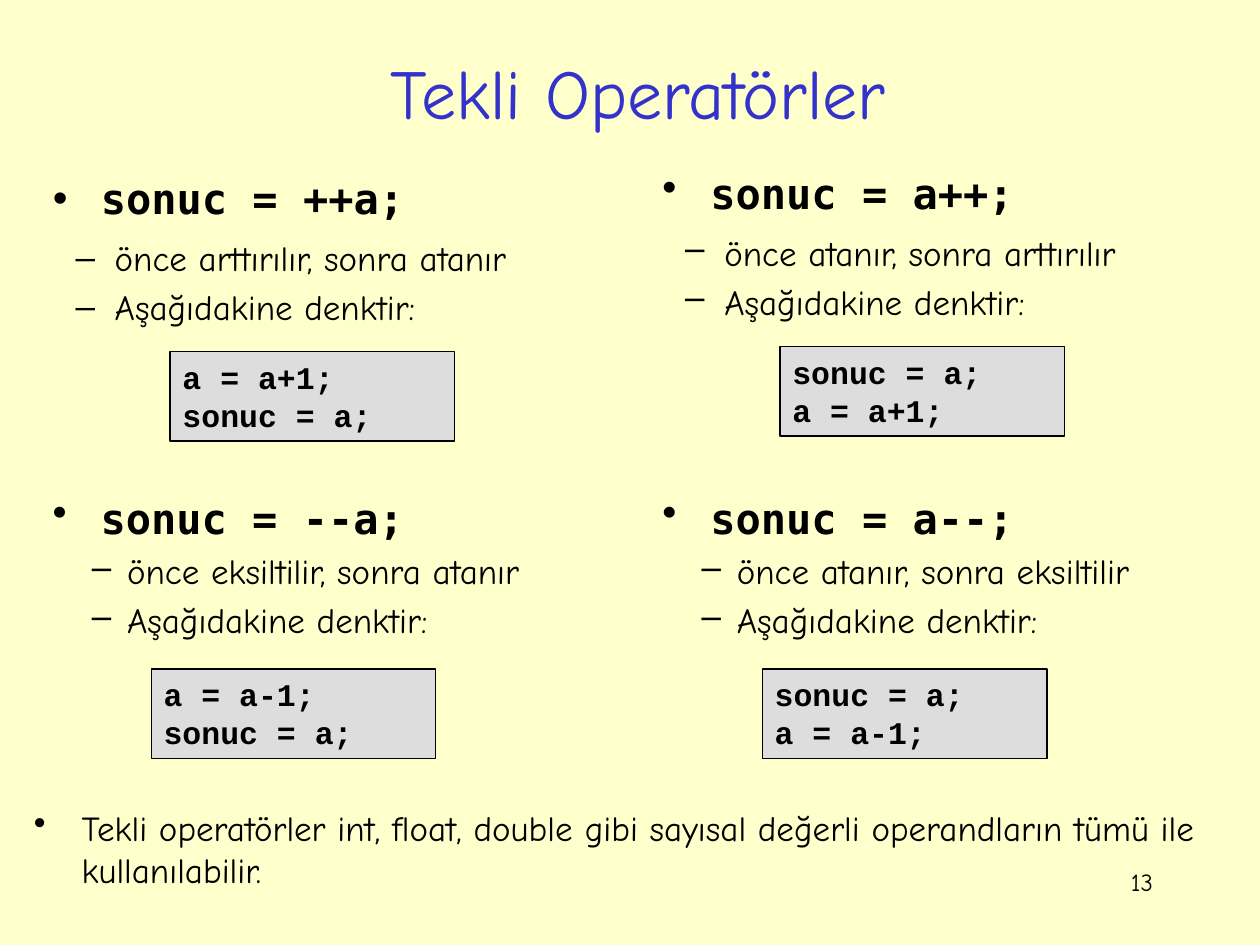
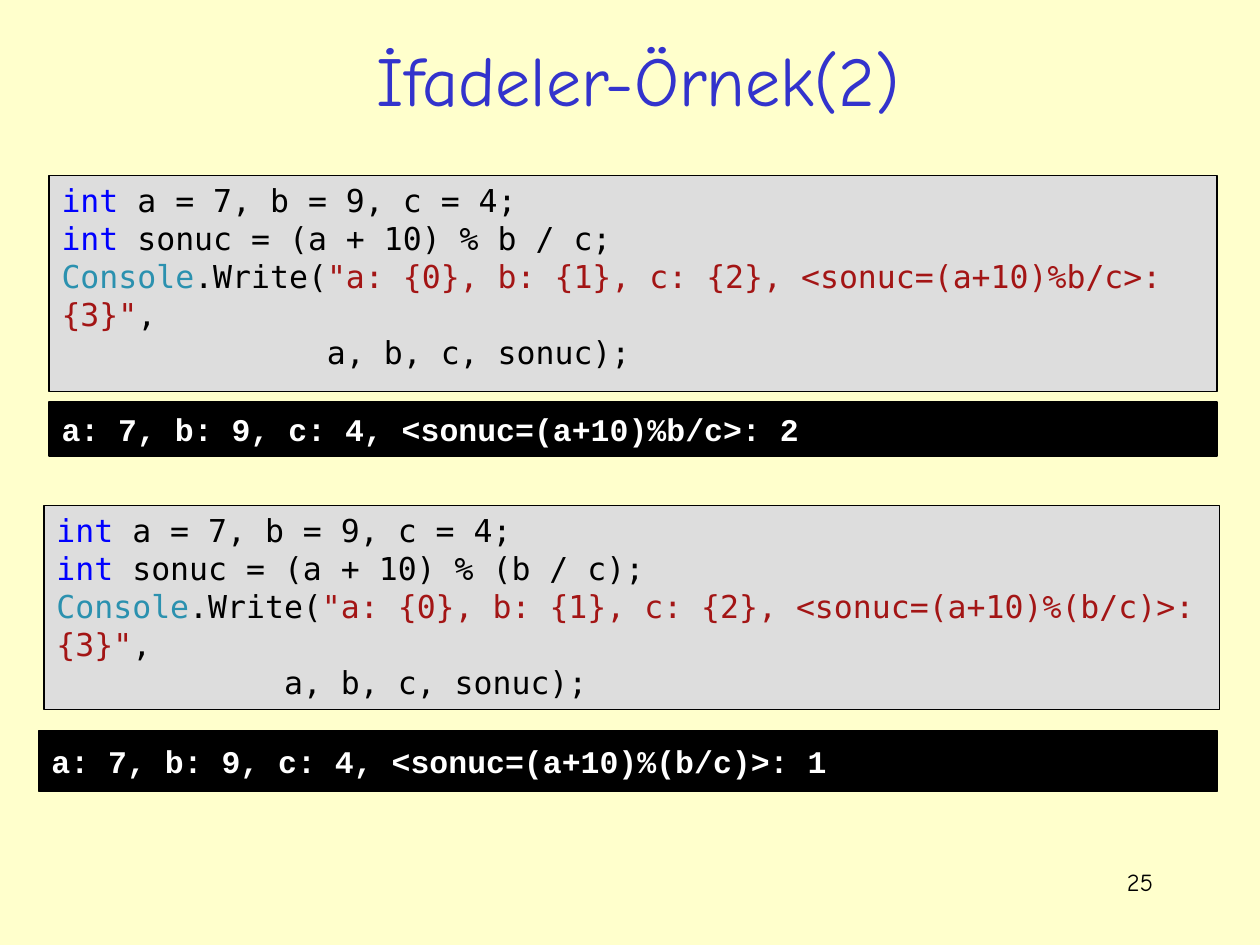
from lxml.etree import SubElement
from pptx import Presentation
from pptx.dml.color import RGBColor
from pptx.enum.shapes import MSO_SHAPE
from pptx.enum.text import MSO_ANCHOR, MSO_AUTO_SIZE, PP_ALIGN
from pptx.oxml.ns import qn
from pptx.util import Inches, Pt

WIDTH, HEIGHT = Inches(10), Inches(7.5)
COLUMNS, ROWS = 100, 75

COLOURS = {
    "page": "FFFFCC", "title": "3333CC", "text": "000000", "panel": "DDDDDD",
    "output": "FFFFFF", "keyword": "0000FF", "type": "2B91AF", "string": "A31515",
}
PROSE, CODE, CONSOLE = "Comic Neue", "DejaVu Sans Mono", "Courier New"
FORMATS = {
    "title": {"name": PROSE, "size": Pt(40), "bold": False},
    "number": {"name": PROSE, "size": Pt(14)},
    "heading": {"name": CODE, "size": Pt(24), "bold": True},
    "point": {"name": PROSE, "size": Pt(20), "bold": False},
    "code": {"name": CODE, "size": Pt(18)},
    "console": {"name": CONSOLE, "size": Pt(18), "bold": True},
}
HEADING_INDENT = (0.38, 0.38)
UPPER_INDENT, LOWER_INDENT = (0.49, 0.31), (0.59, 0.28)


def colour(key):
    """Return the named colour."""
    return RGBColor.from_string(COLOURS[key])


def grid(left, top, width, height):
    """Turn grid columns and rows into a position and size."""
    column, row = WIDTH / COLUMNS, HEIGHT / ROWS
    return [int(value) for value in (left * column, top * row, width * column, height * row)]


def place(shape, area):
    """Move a placeholder to an area of the grid."""
    for name, value in zip(("left", "top", "width", "height"), grid(*area)):
        setattr(shape, name, value)


def set_frame(shape, anchor=MSO_ANCHOR.TOP, wrap=True):
    """Set the wrapping and anchor of a shape and return its text frame."""
    frame = shape.text_frame
    settings = {"word_wrap": wrap, "auto_size": MSO_AUTO_SIZE.NONE, "vertical_anchor": anchor}
    for name, value in settings.items():
        setattr(frame, name, value)
    return frame


def next_paragraph(frame, index):
    """Return the first paragraph of a frame or a new one."""
    return frame.add_paragraph() if index else frame.paragraphs[0]


def add_run(paragraph, text, style, colour_key="text"):
    """Add a run in one of the shared formats."""
    run = paragraph.add_run()
    run.text = text
    for name, value in FORMATS[style].items():
        setattr(run.font, name, value)
    run.font.color.rgb = colour(colour_key)


def set_bullet(paragraph, character, indent):
    """Give a paragraph a hanging bullet."""
    left, hanging = indent
    properties = paragraph._p.get_or_add_pPr()
    properties.set("marL", str(Inches(left)))
    properties.set("indent", str(-Inches(hanging)))
    SubElement(properties, qn("a:buChar"), char=character)


def add_text_box(slide, area):
    """Add an empty text box on the grid."""
    return slide.shapes.add_textbox(*grid(*area))


def add_slide(presentation, layout, title, title_top, number):
    """Add a slide with its title and number."""
    slide = presentation.slides.add_slide(presentation.slide_layouts[layout])
    place(slide.shapes.title, (7.2, title_top, 86.9, 7.8))
    number_box = add_text_box(slide, (71.7, 68.3, 20.8, 5))
    for shape, text, style, key, alignment, anchor in (
        (slide.shapes.title, title, "title", "title", PP_ALIGN.CENTER, MSO_ANCHOR.MIDDLE),
        (number_box, number, "number", "text", PP_ALIGN.RIGHT, MSO_ANCHOR.TOP),
    ):
        paragraph = set_frame(shape, anchor).paragraphs[0]
        paragraph.alignment = alignment
        add_run(paragraph, text, style, key)
    return slide


def fill_list(shape, heading, points, indent, spacings):
    """Write a code heading with dashed points below it."""
    frame = set_frame(shape)
    for index, (text, spacing) in enumerate(zip((heading, *points), spacings)):
        paragraph = next_paragraph(frame, index)
        style = "point" if index else "heading"
        paragraph.level = 1 if index else 0
        paragraph.line_spacing = spacing
        paragraph.space_before = Pt(4 if index else 0)
        set_bullet(paragraph, "–" if index else "•", indent if index else HEADING_INDENT)
        add_run(paragraph, text, style)


def add_panel(slide, area, lines, style, fill="panel", anchor=MSO_ANCHOR.TOP, wrap=True):
    """Add an outlined box with lines made of coloured runs."""
    shape = slide.shapes.add_shape(MSO_SHAPE.RECTANGLE, *grid(*area))
    shape.shadow.inherit = False
    shape.fill.solid()
    shape.fill.fore_color.rgb = colour(fill)
    shape.line.color.rgb = colour("text")
    shape.line.width = Pt(0.75)
    frame = set_frame(shape, anchor, wrap)
    for index, runs in enumerate(lines):
        paragraph = next_paragraph(frame, index)
        paragraph.alignment = PP_ALIGN.LEFT
        for text, key in runs:
            add_run(paragraph, text, style, key)


def add_example(slide, code_area, output_area, expression, indent, result):
    """Add a program for an expression and the line it prints."""
    label = "<sonuc=" + expression.replace(" ", "") + ">: "
    program = [
        [("int", "keyword"), (" a = 7, b = 9, c = 4;", "text")],
        [("int ", "keyword"), (f"sonuc = {expression};", "text")],
        [("Console", "type"), (".Write(", "text"),
         ('"a: {0}, b: {1}, c: {2}, ' + label + '{3}"', "string"), (",", "text")],
        [(" " * indent + "a, b, c, sonuc);", "text")],
    ]
    output = [[("a: 7, b: 9, c: 4, " + label + result, "output")]]
    add_panel(slide, code_area, program, "code")
    add_panel(slide, output_area, output, "console", "text", MSO_ANCHOR.MIDDLE, False)


def build_operators(presentation):
    """Build the slide on unary operators."""
    slide = add_slide(presentation, 1, "Tekli Operatörler", 3.4, "13")
    body = slide.placeholders[1]
    place(body, (3.2, 12.6, 45.3, 15.2))
    upper, lower = (UPPER_INDENT, (1.15, 1.15, 1)), (LOWER_INDENT, (1, 1, 1))
    operators = (
        (body, "sonuc = ++a;", "önce arttırılır, sonra atanır", upper,
         (13.5, 27.9), ("a = a+1;", "sonuc = a;")),
        (add_text_box(slide, (3.2, 38.6, 45.7, 14.6)), "sonuc = --a;",
         "önce eksiltilir, sonra atanır", lower, (12, 53.1), ("a = a-1;", "sonuc = a;")),
        (add_text_box(slide, (51.6, 12.2, 45.3, 15.2)), "sonuc = a++;",
         "önce atanır, sonra arttırılır", upper, (61.9, 27.5), ("sonuc = a;", "a = a+1;")),
        (add_text_box(slide, (51.6, 38.6, 45.7, 14.6)), "sonuc = a--;",
         "önce atanır, sonra eksiltilir", lower, (60.5, 53.1), ("sonuc = a;", "a = a-1;")),
    )
    for shape, heading, order, (indent, spacings), corner, code in operators:
        fill_list(shape, heading, (order, "Aşağıdakine denktir:"), indent, spacings)
        add_panel(slide, (*corner, 22.6, 7.1), [[(line, "text")] for line in code], "console")
    note = set_frame(add_text_box(slide, (1.7, 63.5, 95.8, 8.7))).paragraphs[0]
    set_bullet(note, "•", HEADING_INDENT)
    add_run(note, "Tekli operatörler int, float, double gibi sayısal değerli "
                  "operandların tümü ile kullanılabilir.", "point")


def build_expressions(presentation):
    """Build the slide with two expression examples."""
    slide = add_slide(presentation, 5, "İfadeler-Örnek(2)", 2.3, "25")
    add_example(slide, (3.9, 13.9, 92.7, 17.2), (3.9, 31.9, 92.7, 4.3),
                "(a + 10) % b / c", 14, "2")
    add_example(slide, (3.5, 40.1, 93.3, 16.2), (3.1, 58, 93.5, 4.8),
                "(a + 10) % (b / c)", 12, "1")


def main():
    """Build and save the presentation."""
    presentation = Presentation()
    presentation.slide_width, presentation.slide_height = WIDTH, HEIGHT
    background = presentation.slide_master.background.fill
    background.solid()
    background.fore_color.rgb = colour("page")
    build_operators(presentation)
    build_expressions(presentation)
    presentation.save("out.pptx")


if __name__ == "__main__":
    main()
